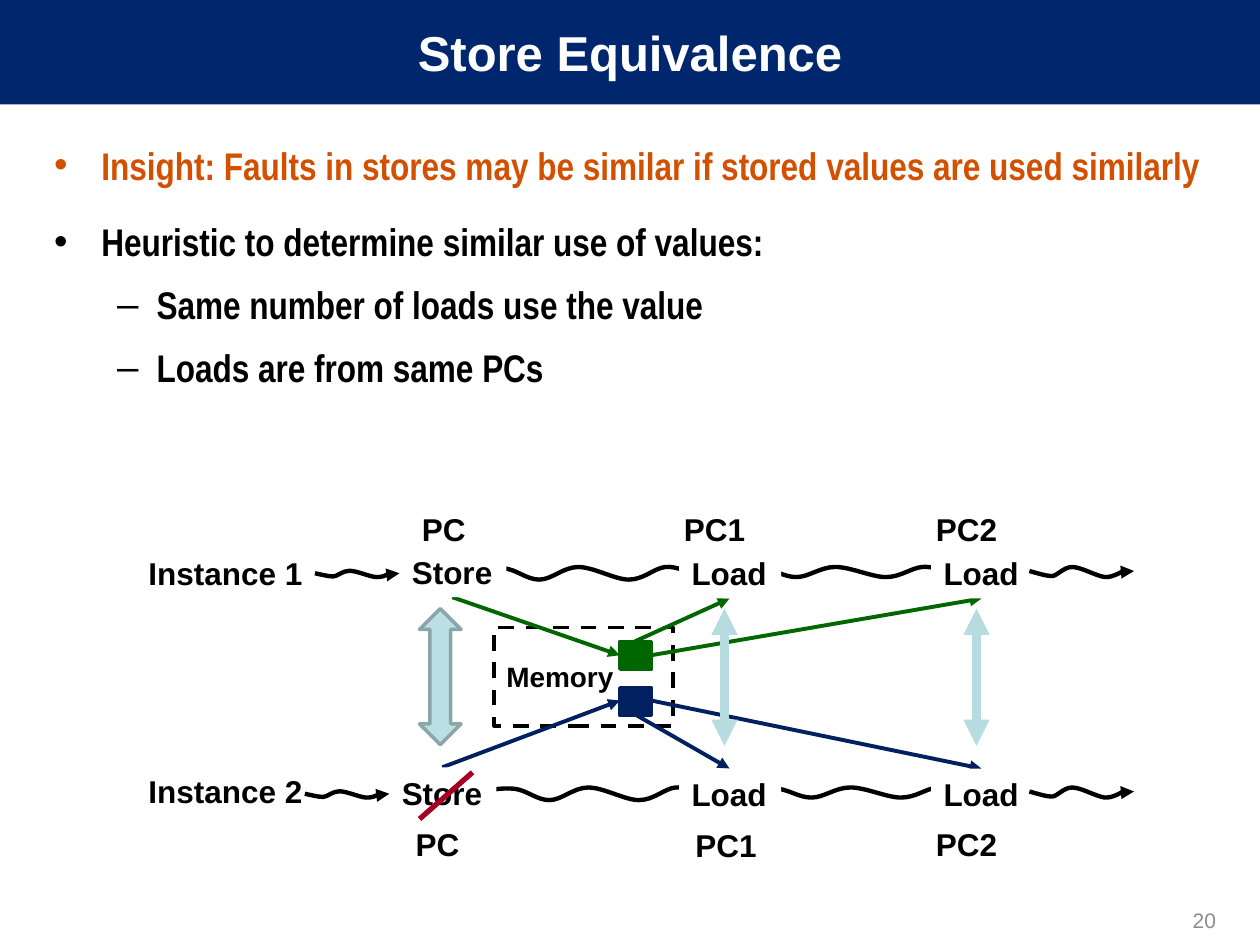
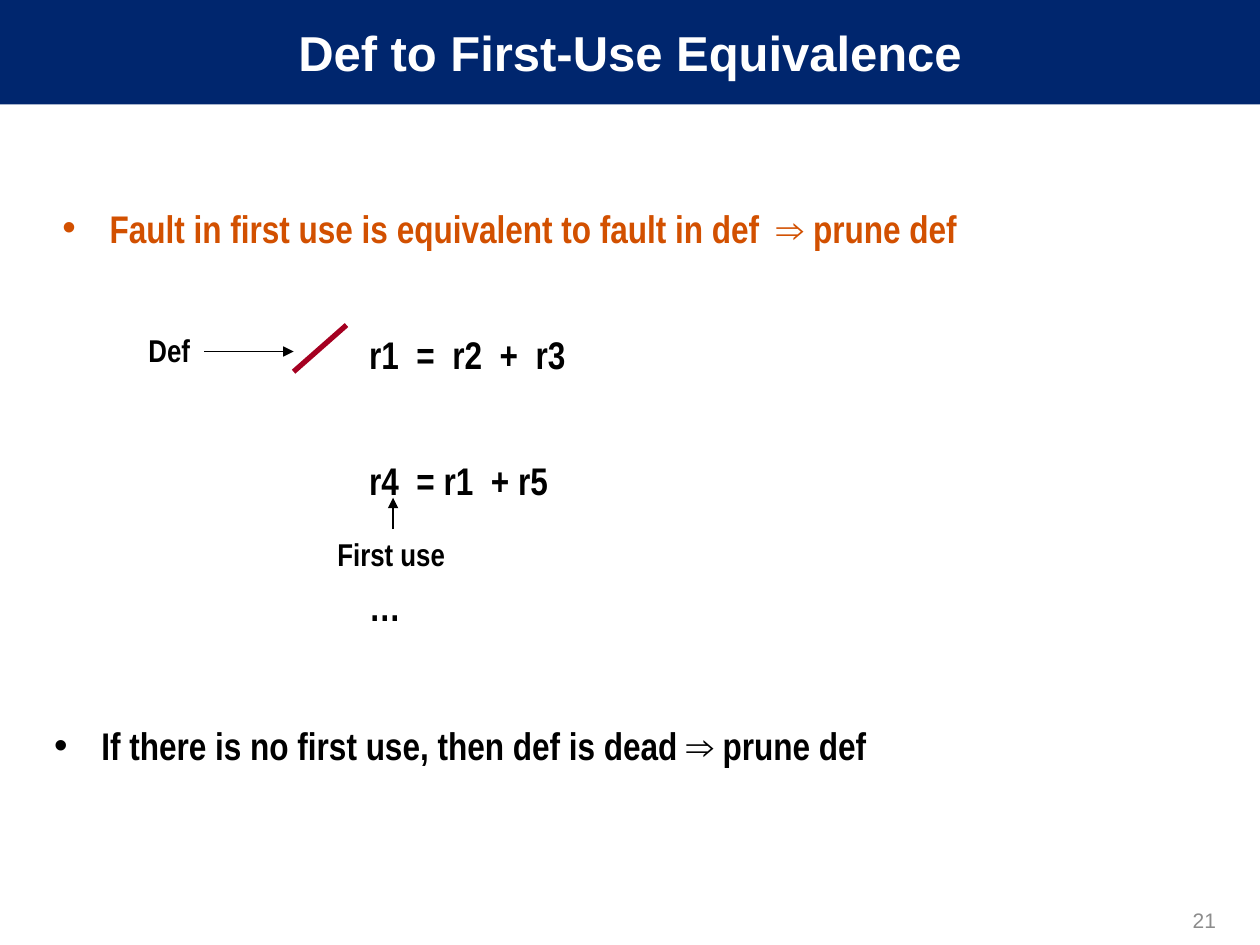
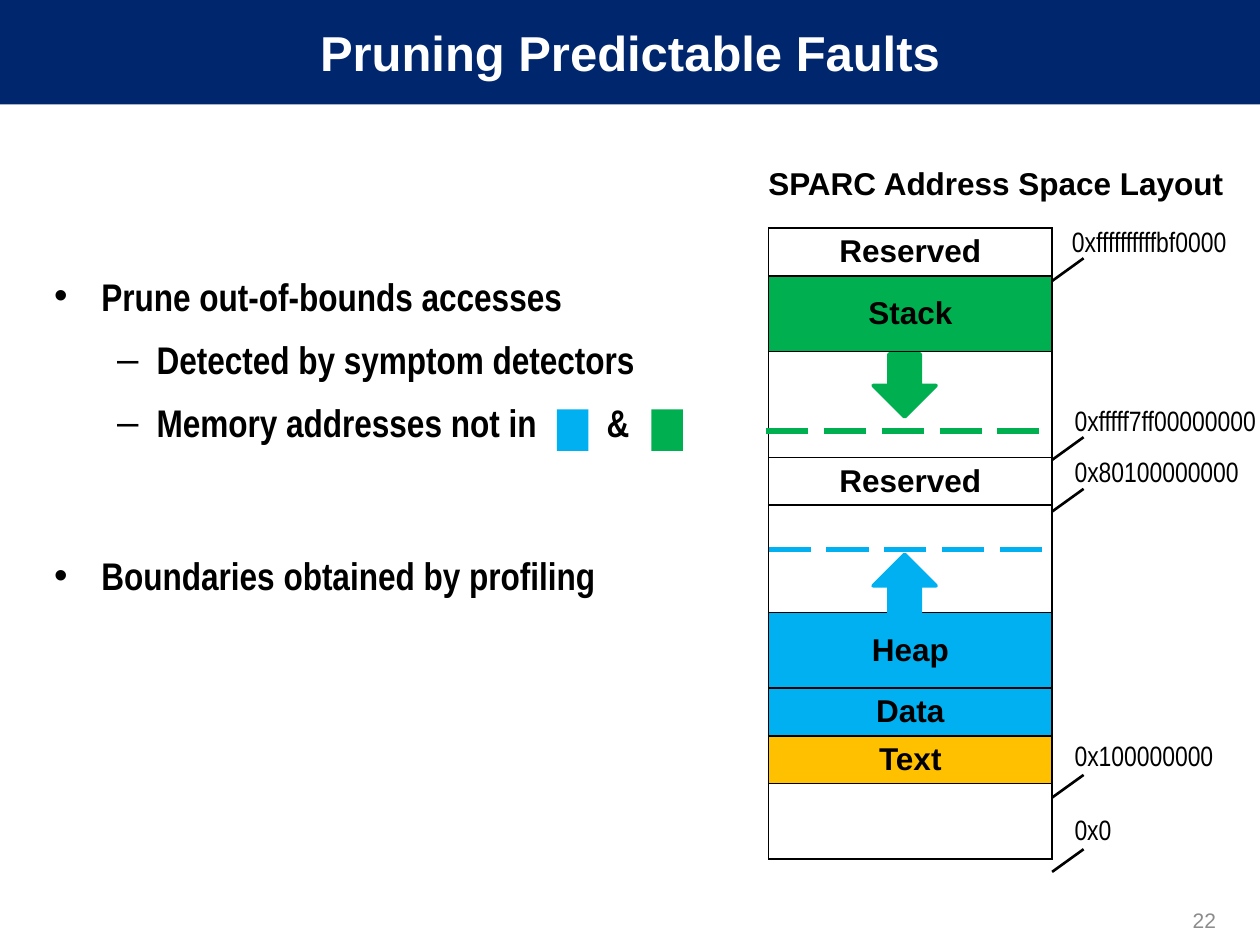
from lxml import etree
from pptx import Presentation
from pptx.dml.color import RGBColor
from pptx.enum.dml import MSO_LINE
from pptx.enum.shapes import MSO_CONNECTOR, MSO_SHAPE
from pptx.enum.text import MSO_ANCHOR, MSO_AUTO_SIZE, PP_ALIGN
from pptx.oxml.ns import qn
from pptx.util import Inches, Pt

RECT = MSO_SHAPE.RECTANGLE
UP, DOWN, UP_DOWN = MSO_SHAPE.UP_ARROW, MSO_SHAPE.DOWN_ARROW, MSO_SHAPE.UP_DOWN_ARROW
STRAIGHT = MSO_CONNECTOR.STRAIGHT
DASH, LONG_DASH = MSO_LINE.DASH, MSO_LINE.LONG_DASH
MIDDLE, TOP = MSO_ANCHOR.MIDDLE, MSO_ANCHOR.TOP
LEFT, CENTER, RIGHT = PP_ALIGN.LEFT, PP_ALIGN.CENTER, PP_ALIGN.RIGHT
NO_FIT = MSO_AUTO_SIZE.NONE

SANS, NARROW = "Arial", "Arial Narrow"
FIRST_NUMBER = 20
BULLET_GAP, SUB_GAP = 12.2, 4.4
HEADER = (0, 0, 10, 0.83)
COLORS = {
    "band": "00266E",
    "white": "FFFFFF",
    "black": "000000",
    "insight": "D25000",
    "number": "8C8C8C",
    "instance1": "006600",
    "instance2": "002060",
    "match": "BBE0E3",
    "match_edge": "8AA6A8",
    "match_arrow": "B6DCDF",
    "fault": "A50021",
    "stack": "00B050",
    "heap": "00B0F0",
    "text": "FFC000",
}

LONG_WAVE = [
    (0, .5), (.12, .2), (.23, 0), (.33, .1), (.43, .2), (.51, 1), (.61, 1),
    (.71, 1), (.8, 0), (.92, 0), (1.04, 0), (1.21, 1), (1.32, 1),
    (1.44, 1), (1.52, .1), (1.61, 0), (1.7, -.1), (1.8, .5), (1.88, .55),
    (1.96, .6), (2.02, .6), (2.08, .55),
]
SHORT_WAVE = [
    (0, .4), (.06, .6), (.13, .9), (.18, .9), (.22, .9), (.27, 0), (.34, 0),
    (.41, 0), (.53, .9), (.6, 1), (.67, 1), (.72, .5), (.75, .4),
    (.79, .25), (.81, .35), (.83, .4),
]


def rgb(name):
    return RGBColor.from_string(COLORS[name])


def box(left, top, width, height):
    return [Inches(v) for v in (left, top, width, height)]


def style_run(r, size, font=SANS, color="black", bold=True):
    r.font.size = Pt(size)
    r.font.name = font
    r.font.bold = bold
    r.font.color.rgb = rgb(color)


def style_line(shape, color, width, dash=None, ends=()):
    shape.line.color.rgb = rgb(color)
    shape.line.width = Pt(width)
    if dash:
        shape.line.dash_style = dash
    ln = shape._element.spPr.find(qn("a:ln"))
    for end in ends:
        etree.SubElement(ln, qn(f"a:{end}End")).set("type", "triangle")


def add_line(s, start, end, color, width, dash=None, ends=()):
    connector = s.shapes.add_connector(
        STRAIGHT, *[Inches(v) for v in (*start, *end)])
    style_line(connector, color, width, dash, ends)
    etree.SubElement(connector._element.spPr, qn("a:effectLst"))


def add_block(s, kind, at, fill, edge=None, width=2, dash=None):
    shape = s.shapes.add_shape(kind, *box(*at))
    shape.shadow.inherit = False
    shape.fill.solid()
    shape.fill.fore_color.rgb = rgb(fill)
    if edge:
        style_line(shape, edge, width, dash)
    else:
        shape.line.fill.background()
    return shape


def write(tf, text, size, font=SANS, bold=True, anchor=TOP, wrap=False):
    tf.word_wrap = wrap
    tf.vertical_anchor = anchor
    p = tf.paragraphs[0]
    p.alignment = LEFT
    r = p.add_run()
    r.text = text
    style_run(r, size, font, bold=bold)


def add_label(s, text, at, size=18, font=SANS, bold=True, fill=None):
    shape = s.shapes.add_textbox(*box(*at))
    if fill:
        shape.fill.solid()
        shape.fill.fore_color.rgb = rgb(fill)
    write(shape.text_frame, text, size, font, bold)


def add_wave(s, curve, left, top, width, height, ends=()):
    reach = curve[-1][0]
    points = [(Inches(left + x / reach * width), Inches(top + y * height))
              for x, y in curve]
    builder = s.shapes.build_freeform(*points[0])
    builder.add_line_segments(points[1:], close=False)
    wave = builder.convert_to_shape()
    segments = list(wave._element.iter(qn("a:lnTo")))
    for i in range(0, len(segments), 3):
        bend = etree.Element(qn("a:cubicBezTo"))
        segments[i].addprevious(bend)
        for segment in segments[i:i + 3]:
            bend.append(segment[0])
            segment.getparent().remove(segment)
    wave.shadow.inherit = False
    wave.fill.background()
    style_line(wave, "black", 2.5, ends=ends)


def add_number(s, number):
    tf = s.shapes.add_textbox(*box(7.42, 7.1, 2.33, 0.4)).text_frame
    tf.word_wrap = True
    tf.vertical_anchor = MIDDLE
    p = tf.paragraphs[0]
    p.alignment = RIGHT
    r = p.add_run()
    r.text = str(number)
    style_run(r, 12, color="number", bold=False)


def move_band_to_master(prs, s):
    band = add_block(s, RECT, HEADER, "band")._element
    band.nvSpPr.cNvPr.set("id", "99")
    prs.slide_master.shapes._spTree.insert(2, band)


def add_slide(prs, title):
    s = prs.slides.add_slide(prs.slide_layouts[1])
    shape = s.shapes.title
    shape.left, shape.top, shape.width, shape.height = box(*HEADER)
    tf = shape.text_frame
    tf.auto_size = NO_FIT
    tf.vertical_anchor = MIDDLE
    p = tf.paragraphs[0]
    p.alignment = CENTER
    r = p.add_run()
    r.text = title
    style_run(r, 28, color="white")
    add_number(s, FIRST_NUMBER + len(prs.slides) - 1)
    return s


def place_body(s, at):
    body = s.placeholders[1]
    body.left, body.top, body.width, body.height = box(*at)
    body.text_frame.auto_size = NO_FIT
    body.text_frame.word_wrap = True
    return body.text_frame


def add_item(tf, text, level=0, before=None, color="black", margin=None, bullet=True):
    p = tf.paragraphs[0]
    first = not p.runs
    if not first:
        p = tf.add_paragraph()
    p.level = level
    p.line_spacing = 1.2
    if before is None:
        before = SUB_GAP if level else BULLET_GAP
    p.space_before = Pt(0 if first else before)
    pPr = p._p.get_or_add_pPr()
    if margin is not None:
        pPr.set("marL", str(Inches(margin)))
    if not bullet:
        pPr.set("indent", "0")
        etree.SubElement(pPr, qn("a:buNone"))
    add_item_run(p, text, color)
    return p


def add_item_run(p, text, color="black", spacing=None):
    r = p.add_run()
    r.text = text
    style_run(r, 22, NARROW, color)
    if spacing:
        r._r.get_or_add_rPr().set("spc", str(spacing * 100))


def add_memory_table(s, rows, at):
    table = s.shapes.add_table(len(rows), 1, *box(*at)).table
    table.first_row = False
    table.horz_banding = False
    for i, (text, height, fill) in enumerate(rows):
        table.rows[i].height = Inches(height)
        cell = table.cell(i, 0)
        cell.margin_top = cell.margin_bottom = Inches(0.04)
        cell.vertical_anchor = MIDDLE
        tcPr = cell._tc.get_or_add_tcPr()
        for side in "LRTB":
            ln = etree.SubElement(tcPr, qn(f"a:ln{side}"), w=str(Pt(1)))
            paint = etree.SubElement(ln, qn("a:solidFill"))
            etree.SubElement(paint, qn("a:srgbClr"), val=COLORS["black"])
        if fill:
            cell.fill.solid()
            cell.fill.fore_color.rgb = rgb(fill)
        else:
            cell.fill.background()
        if text:
            p = cell.text_frame.paragraphs[0]
            p.alignment = CENTER
            r = p.add_run()
            r.text = text
            style_run(r, 18)


def store_equivalence(prs):
    s = add_slide(prs, "Store Equivalence")
    move_band_to_master(prs, s)
    tf = place_body(s, (0.33, 1, 9.58, 2.58))
    add_item(tf, "Insight: Faults in stores may be similar if stored values are used similarly",
             color="insight")
    add_item(tf, "Heuristic to determine similar use of values:")
    add_item(tf, "Same number of loads use the value", 1)
    add_item(tf, "Loads are from same PCs", 1)

    for left, top, height in ((5.83, 6.25, 0.08), (3.75, 6.25, 0.1),
                              (5.71, 4.5, 0.08), (3.67, 4.5, 0.1)):
        add_wave(s, LONG_WAVE, left, top, 2.08, height)

    memory = add_block(s, RECT, (3.92, 4.98, 1.42, 0.78), "white", "black", 2.25, DASH)
    write(memory.text_frame, "Memory", 16, anchor=MIDDLE, wrap=True)

    for color, top, store, value_y, edge_y, load_y in (
            ("instance1", 5.09, (3.59, 4.74), 5.2, 5.09, 4.75),
            ("instance2", 5.46, (3.51, 6.09), 5.56, 5.67, 6.1)):
        add_block(s, RECT, (4.92, top, 0.25, 0.22), color, color)
        for start, end in ((store, (4.92, value_y)),
                           ((5.04, edge_y), (5.79, load_y)),
                           ((5.17, value_y), (7.79, load_y))):
            add_line(s, start, end, color, 2.25, ends=["tail"])

    for text, left, top, width in (
            ("Store", 3.17, 4.34, 0.85), ("Store", 3.09, 6.09, 0.85),
            ("PC", 3.25, 4, 0.55), ("PC", 3.2, 6.5, 0.55),
            ("PC1", 5.33, 4, 0.69), ("PC1", 5.42, 6.51, 0.69),
            ("PC2", 7.33, 4, 0.69), ("PC2", 7.33, 6.5, 0.69)):
        add_label(s, text, (left, top, width, 0.4), fill="white")
    for left in (5.39, 7.39):
        for top in (4.35, 6.1):
            add_label(s, "Load", (left, top, 0.81, 0.4), fill="white")
    for text, top in (("Instance 1", 4.35), ("Instance 2", 6.08)):
        add_label(s, text, (1.08, top, 1.44, 0.4))

    for left, top, width, height in ((2.5, 4.53, 0.67, 0.05), (2.42, 6.28, 0.67, 0.05),
                                     (8.17, 4.5, 0.83, 0.08), (8.17, 6.25, 0.83, 0.08)):
        add_wave(s, SHORT_WAVE, left, top, width, height, ["tail"])
    add_block(s, UP_DOWN, (3.33, 4.83, 0.33, 1.08), "match", "match_edge")
    for x in (5.75, 7.75):
        add_line(s, (x, 4.83), (x, 5.92), "match_arrow", 5, ends=["head", "tail"])
    add_line(s, (3.33, 6.5), (3.75, 6.13), "fault", 3)


def first_use_equivalence(prs):
    s = add_slide(prs, "Def to First-Use Equivalence")
    tf = place_body(s, (0.33, 1.5, 9.42, 5.25))
    add_item(tf, "Fault in first use is equivalent to fault in def  ⇒ prune def",
             color="insight", margin=0.44)
    for code in ("r1  =  r2  +  r3", "r4  = r1  + r5", "…"):
        add_item(tf, code, 1, before=40.5, margin=2.5, bullet=False)
    add_item(tf, "If there is no first use, then def is dead ⇒ prune def", before=47.7)

    add_line(s, (2.33, 2.95), (2.75, 2.58), "fault", 3)
    add_label(s, "Def", (1.08, 2.58, 0.54, 0.4), font=NARROW)
    add_line(s, (1.62, 2.79), (2.33, 2.79), "black", 0.75, ends=["tail"])
    add_label(s, "First use", (2.58, 4.2, 1.07, 0.4), font=NARROW)
    add_line(s, (3.12, 4.2), (3.12, 3.95), "black", 0.75, ends=["tail"])


def predictable_faults(prs):
    s = add_slide(prs, "Pruning Predictable Faults")
    tf = place_body(s, (0.33, 2.04, 5.6, 3))
    add_item(tf, "Prune out-of-bounds accesses")
    add_item(tf, "Detected by symptom detectors", 1)
    p = add_item(tf, "Memory addresses not in", 1)
    add_item_run(p, " ", spacing=35)
    add_item_run(p, "&")
    add_item(tf, "Boundaries obtained by profiling", before=55.8)
    for left, color in ((4.42, "heap"), (5.17, "stack")):
        add_block(s, RECT, (left, 3.25, 0.25, 0.33), color)

    add_label(s, "SPARC Address Space Layout", (6, 1.25, 4, 0.4))
    add_memory_table(s, [
        ("Reserved", 0.38, None),
        ("Stack", 0.6, "stack"),
        ("", 0.84, None),
        ("Reserved", 0.38, None),
        ("", 0.85, None),
        ("Heap", 0.6, "heap"),
        ("Data", 0.38, "heap"),
        ("Text", 0.38, "text"),
        ("", 0.6, None),
    ], (6.1, 1.81, 2.25, 5.01))

    for address, left, top, width, tick in (
            ("0xffffffffffbf0000", 8.41, 1.73, 1.44, 2.23),
            ("0xfffff7ff00000000", 8.43, 3.15, 1.65, 3.65),
            ("0x80100000000", 8.43, 3.56, 1.51, 4.06),
            ("0x100000000", 8.43, 5.81, 1.31, 6.33),
            ("0x0", 8.43, 6.4, 0.5, 6.92)):
        add_label(s, address, (left, top, width, 0.37), 16, NARROW, False)
        add_line(s, (8.35, tick), (8.6, tick - 0.18), "black", 1.5)

    for kind, top, color, left, limit in ((UP, 4.4, "heap", 6.1, 4.36),
                                          (DOWN, 2.81, "stack", 6.08, 3.42)):
        add_block(s, kind, (6.93, top, 0.5, 0.5), color, color)
        add_line(s, (left, limit), (left + 2.25, limit), color, 3, LONG_DASH)


def main():
    prs = Presentation()
    prs.slide_width, prs.slide_height = Inches(10), Inches(7.5)
    store_equivalence(prs)
    first_use_equivalence(prs)
    predictable_faults(prs)
    prs.save("out.pptx")


if __name__ == "__main__":
    main()
